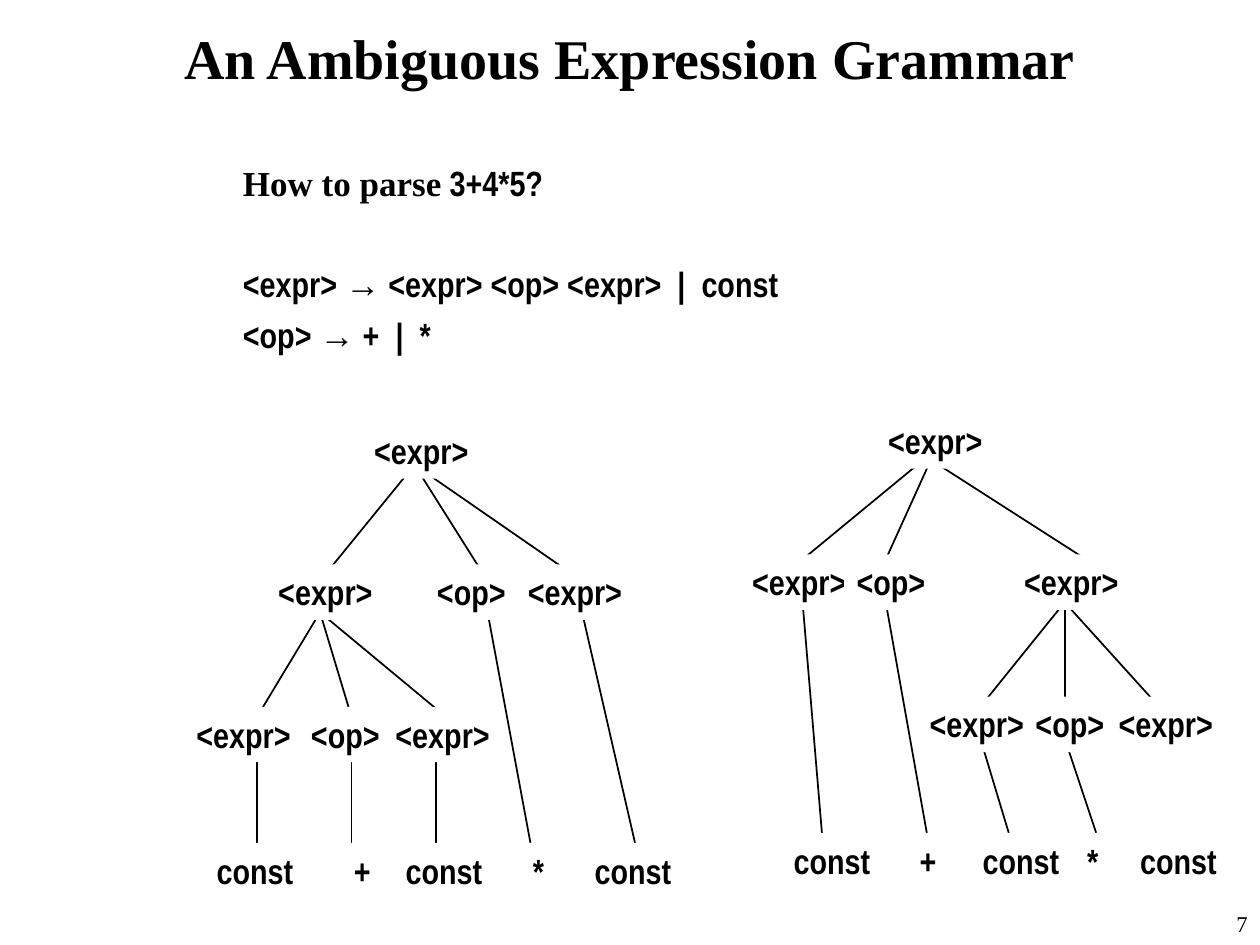
import pptx
import pptx.dml.color
import pptx.enum.shapes
import pptx.enum.text
import pptx.oxml
import pptx.util
from pptx.util import Inches

BLACK = pptx.dml.color.RGBColor(0, 0, 0)
WHITE = pptx.dml.color.RGBColor(255, 255, 255)
SERIF, NARROW, SANS = "Times New Roman", "Arial Narrow", "Arial"
ALIGN = pptx.enum.text.PP_ALIGN
ANCHOR = pptx.enum.text.MSO_ANCHOR

NODE_HEIGHT = 0.44
NODE_WIDTHS = {"<expr>": 0.95, "<op>": 0.74, "const": 0.81, "+": 0.33, "*": 0.29}

# Each row of nodes: its top, then (label, left).
LEFT_NODES = [
    (3.36, [("<expr>", 2.87)]),
    (4.48, [("<expr>", 2.11), ("<op>", 3.37), ("<expr>", 4.09)]),
    (5.61, [("<expr>", 1.46), ("<op>", 2.37), ("<expr>", 3.04)]),
    (6.69, [("const", 1.62), ("+", 2.71), ("const", 3.12), ("*", 4.13), ("const", 4.62)]),
]
RIGHT_NODES = [
    (3.28, [("<expr>", 6.95)]),
    (4.40, [("<expr>", 5.87), ("<op>", 6.70), ("<expr>", 8.03)]),
    (5.53, [("<expr>", 7.28), ("<op>", 8.12), ("<expr>", 8.78)]),
    (6.61, [("const", 6.20), ("+", 7.20), ("const", 7.70), ("*", 8.53), ("const", 8.95)]),
]

# Each bundle of branches: start y, end y, then (start x, end x).
LEFT_BRANCHES = [
    (3.69, 4.61, [(3.29, 2.54), (3.29, 3.87), (3.29, 4.62)]),
    (4.86, 5.69, [(2.54, 2.04), (2.54, 2.79), (2.54, 3.54)]),
    (4.86, 6.69, [(3.87, 4.21), (4.62, 5.04)]),
    (5.94, 6.77, [(2.04, 2.04), (2.79, 2.79), (3.46, 3.46)]),
]
RIGHT_BRANCHES = [
    (3.69, 4.44, [(7.28, 6.37), (7.37, 7.03), (7.45, 8.62)]),
    (4.78, 5.61, [(8.45, 7.78), (8.45, 8.45), (8.45, 9.20)]),
    (4.78, 6.69, [(6.37, 6.53), (7.03, 7.37)]),
    (5.86, 6.69, [(7.78, 8.03)]),
    (5.86, 6.61, [(8.45, 8.70)]),
]


def add_span(para, text, font, size=20, bold=True):
    span = para.add_run()
    span.text = text
    span.font.name = font
    span.font.size = pptx.util.Pt(size)
    span.font.bold = bold
    span.font.color.rgb = BLACK


def add_text_box(page, left, top, width, height, anchor=ANCHOR.TOP):
    box = page.shapes.add_textbox(Inches(left), Inches(top), Inches(width), Inches(height))
    box.text_frame.word_wrap = True
    box.text_frame.vertical_anchor = anchor
    return box.text_frame


def add_line_of_text(page, place, text, size, bold, align, anchor=ANCHOR.TOP):
    para = add_text_box(page, *place, anchor).paragraphs[0]
    para.alignment = align
    add_span(para, text, SERIF, size, bold)


def add_grammar(page):
    """The question and, set off by a gap, the two grammar rules."""
    frame = add_text_box(page, 1.83, 1.23, 8.17, 5.72)
    lines = [
        (5, [("How to parse", SERIF), (" 3+4*5?", NARROW)]),
        (34, [("<expr> ", NARROW), ("→", SANS),
              (" <expr> <op> <expr>  |  const", NARROW)]),
        (5, [("<op> ", NARROW), ("→", SANS), (" +  |  *", NARROW)]),
    ]
    for index, (space, spans) in enumerate(lines):
        para = frame.add_paragraph() if index else frame.paragraphs[0]
        para.space_before = pptx.util.Pt(space)
        for text, font in spans:
            add_span(para, text, font)


def add_branch(group, start_x, start_y, end_x, end_y):
    branch = group.shapes.add_connector(
        pptx.enum.shapes.MSO_CONNECTOR.STRAIGHT,
        Inches(start_x), Inches(start_y), Inches(end_x), Inches(end_y))
    branch.line.color.rgb = BLACK
    branch.line.width = pptx.util.Pt(1)
    properties = branch._element.spPr
    properties.append(pptx.oxml.parse_xml(
        '<a:effectLst xmlns:a="http://schemas.openxmlformats.org/drawingml/2006/main"/>'))


def add_node(group, label, left, top):
    node = group.shapes.add_shape(
        pptx.enum.shapes.MSO_SHAPE.RECTANGLE, Inches(left), Inches(top),
        Inches(NODE_WIDTHS[label]), Inches(NODE_HEIGHT))
    node.shadow.inherit = False
    node.fill.solid()
    node.fill.fore_color.rgb = WHITE
    node.line.fill.background()
    frame = node.text_frame
    frame.word_wrap = False
    # A narrow right margin leaves room for the label on one line.
    frame.margin_right = Inches(0.02)
    frame.auto_size = pptx.enum.text.MSO_AUTO_SIZE.SHAPE_TO_FIT_TEXT
    frame.vertical_anchor = ANCHOR.TOP
    frame.paragraphs[0].alignment = ALIGN.LEFT
    add_span(frame.paragraphs[0], label, NARROW)


def add_tree(page, branches, nodes):
    """Nodes go on top, so that their fill trims the branch ends."""
    group = page.shapes.add_group_shape()
    for start_y, end_y, spread in branches:
        for start_x, end_x in spread:
            add_branch(group, start_x, start_y, end_x, end_y)
    for top, row in nodes:
        for label, left in row:
            add_node(group, label, left, top)


def main():
    deck = pptx.Presentation()
    deck.slide_width, deck.slide_height = Inches(10), Inches(7.5)
    page = deck.slides.add_slide(deck.slide_layouts[6])
    page.background.fill.solid()
    page.background.fill.fore_color.rgb = WHITE
    add_line_of_text(page, (9.25, 7.17, 0.75, 0.33), "7", 12.9, False, ALIGN.RIGHT)
    add_line_of_text(page, (0.25, 0.08, 9.5, 0.75), "An Ambiguous Expression Grammar",
                     32, True, ALIGN.CENTER, ANCHOR.MIDDLE)
    add_grammar(page)
    add_tree(page, RIGHT_BRANCHES, RIGHT_NODES)
    add_tree(page, LEFT_BRANCHES, LEFT_NODES)
    deck.save("out.pptx")


if __name__ == "__main__":
    main()
